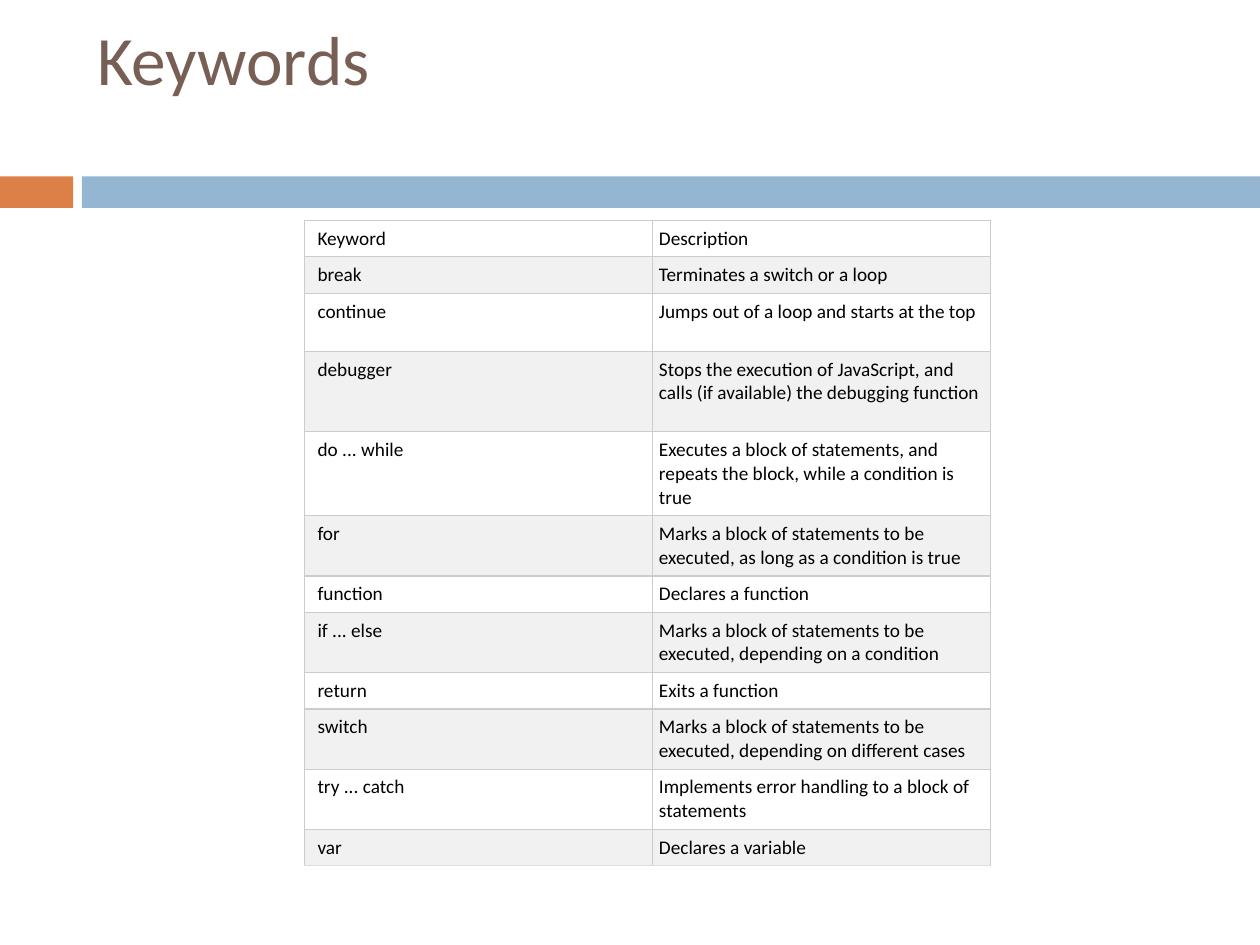
from dataclasses import dataclass

from lxml import etree
from pptx import Presentation
from pptx.dml.color import RGBColor
from pptx.enum.shapes import MSO_SHAPE
from pptx.enum.text import MSO_ANCHOR, MSO_AUTO_SIZE, PP_ALIGN
from pptx.oxml.ns import qn
from pptx.util import Inches, Pt

RECTANGLE = MSO_SHAPE.RECTANGLE
MIDDLE = MSO_ANCHOR.MIDDLE
TOP = MSO_ANCHOR.TOP
LEFT = PP_ALIGN.LEFT
NO_FIT = MSO_AUTO_SIZE.NONE


@dataclass(frozen=True)
class Theme:
    font: str = "Calibri"
    title_size: float = 39.6
    cell_size: float = 11
    title: str = "775F55"
    text: str = "000000"
    orange: str = "DD8047"
    blue: str = "94B6D2"
    plain_row: str = "FFFFFF"
    shaded_row: str = "F1F1F1"
    border: str = "CCCCCC"
    last_border: str = "DDDDDD"
    border_width: float = 0.75


theme = Theme()


def style_font(paragraph, size, color):
    paragraph.alignment = LEFT
    paragraph.font.name = theme.font
    paragraph.font.size = Pt(size)
    paragraph.font.color.rgb = RGBColor.from_string(color)


def add_border(cell, side, color):
    line = etree.SubElement(cell._tc.get_or_add_tcPr(), qn(f"a:ln{side}"),
                            w=str(Pt(theme.border_width)))
    fill = etree.SubElement(line, qn("a:solidFill"))
    etree.SubElement(fill, qn("a:srgbClr"), val=color)


prs = Presentation()
prs.slide_width = Inches(10)
prs.slide_height = Inches(7.5)
slide = prs.slides.add_slide(prs.slide_layouts[5])

for left, width, color in [(0, 0.58, theme.orange), (0.65, 9.35, theme.blue)]:
    band = slide.shapes.add_shape(RECTANGLE, Inches(left), Inches(1.4),
                                  Inches(width), Inches(0.25))
    band.shadow.inherit = False
    band.fill.solid()
    band.fill.fore_color.rgb = RGBColor.from_string(color)
    band.line.fill.background()

title = slide.shapes.title
title.left, title.top = Inches(0.67), Inches(0.25)
title.width, title.height = Inches(8.92), Inches(1.08)
title.text_frame.text = "Keywords\v"
title.text_frame.auto_size = NO_FIT
title.text_frame.vertical_anchor = MIDDLE
style_font(title.text_frame.paragraphs[0], theme.title_size, theme.title)

keywords = [
    ("Keyword", "Description", 0.28),
    ("break", "Terminates a switch or a loop", 0.28),
    ("continue", "Jumps out of a loop and starts at the top", 0.46),
    ("debugger", "Stops the execution of JavaScript, and calls (if available) "
                 "the debugging function", 0.64),
    ("do ... while", "Executes a block of statements, and repeats the block, "
                     "while a condition is true", 0.64),
    ("for", "Marks a block of statements to be executed, "
            "as long as a condition is true", 0.46),
    ("function", "Declares a function", 0.28),
    ("if ... else", "Marks a block of statements to be executed, "
                    "depending on a condition", 0.46),
    ("return", "Exits a function", 0.28),
    ("switch", "Marks a block of statements to be executed, "
               "depending on different cases", 0.46),
    ("try ... catch", "Implements error handling to a block of statements", 0.46),
    ("var", "Declares a variable", 0.28),
]
column_widths = [2.76, 2.68]
left_margins = [0.1, 0.05]

table = slide.shapes.add_table(
    len(keywords), len(column_widths), Inches(2.42), Inches(1.75),
    Inches(sum(column_widths)), Inches(sum(row[2] for row in keywords))).table
table.first_row = False
table.horz_banding = False
for column, width in zip(table.columns, column_widths):
    column.width = Inches(width)

for row_index, (keyword, description, height) in enumerate(keywords):
    table.rows[row_index].height = Inches(height)
    is_last = row_index == len(keywords) - 1
    for column_index, wording in enumerate((keyword, description)):
        cell = table.cell(row_index, column_index)
        cell.text = wording
        cell.vertical_anchor = TOP
        cell.margin_left = Inches(left_margins[column_index])
        cell.margin_top = cell.margin_right = cell.margin_bottom = Inches(0.05)
        style_font(cell.text_frame.paragraphs[0], theme.cell_size, theme.text)
        for side in "LRTB":
            add_border(cell, side, theme.last_border if is_last and side == "B"
                       else theme.border)
        cell.fill.solid()
        cell.fill.fore_color.rgb = RGBColor.from_string(
            theme.shaded_row if row_index % 2 else theme.plain_row)

prs.save("out.pptx")
